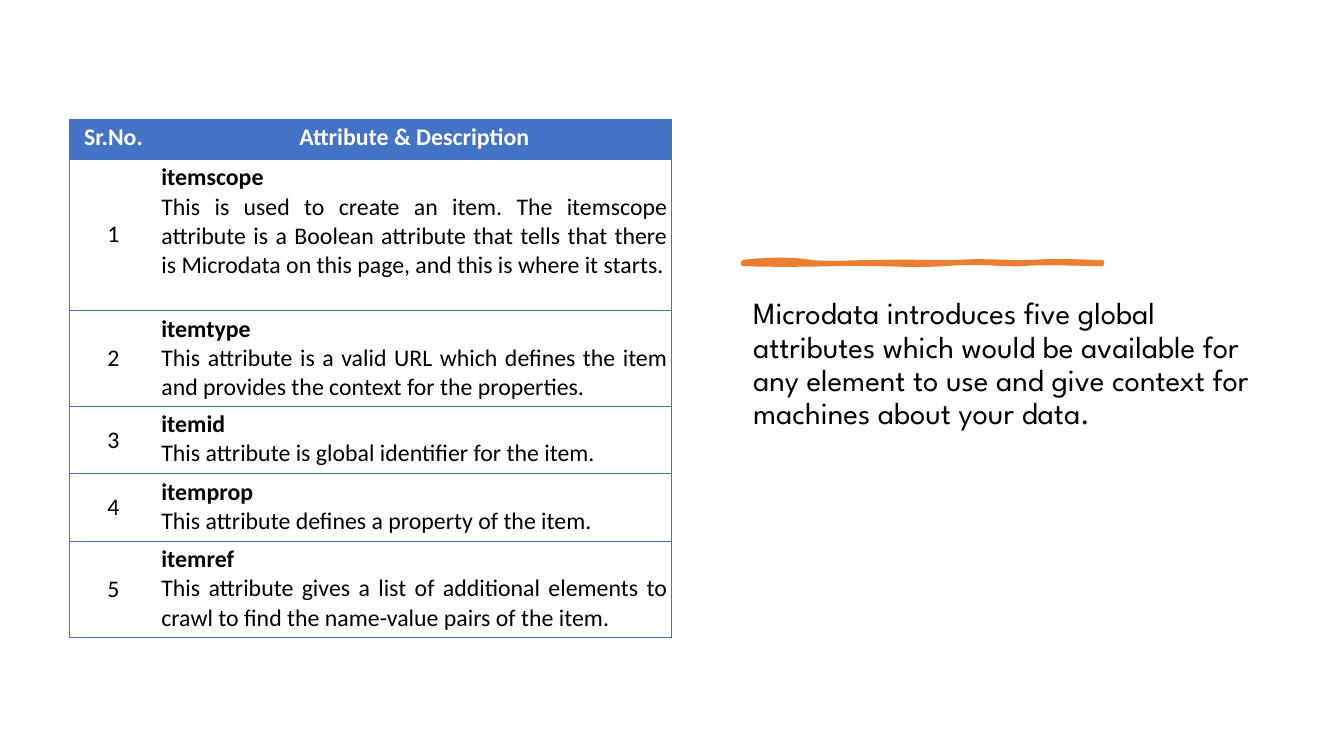
from lxml import etree
from pptx import Presentation
from pptx import util as u
from pptx.dml.color import RGBColor
from pptx.enum import text
from pptx.oxml import ns

WIDTH, HEIGHT = u.Inches(13.33), u.Inches(7.5)
BLUE, ORANGE, BLACK, WHITE = "4472C4", "ED7D31", "000000", "FFFFFF"
CENTER, JUSTIFY = text.PP_ALIGN.CENTER, text.PP_ALIGN.JUSTIFY

COLUMNS = [6.53, 38.26]
ROWS = [5.33, 20, 12.67, 8.93, 8.93, 12.67]
HEADINGS = ["Sr.No.", "Attribute & Description"]
ATTRIBUTES = [
    ("itemscope", "This is used to create an item. The itemscope attribute is a Boolean "
     "attribute that tells that there is Microdata on this page, and this is where it starts."),
    ("itemtype", "This attribute is a valid URL which defines the item and provides "
     "the context for the properties."),
    ("itemid", "This attribute is global identifier for the item."),
    ("itemprop", "This attribute defines a property of the item."),
    ("itemref", "This attribute gives a list of additional elements to crawl to find "
     "the name-value pairs of the item."),
]
INTRODUCTION = ("Microdata introduces five global attributes which would be available for "
                "any element to use and give context for machines about your data.")

UPPER_EDGE = [(0, 0), (.07, -.4), (.14, -.4), (.19, 0), (.24, .27), (.3, 0), (.39, 0),
              (.48, -.13), (.53, .13), (.6, 0), (.67, -.27), (.75, .13), (.81, 0),
              (.87, -.27), (.96, 0), (1, 0)]
LOWER_EDGE = [(1, .27), (.95, .27), (.83, 0), (.78, .27), (.73, .4), (.66, -.13),
              (.56, .27), (.46, .53), (.45, .27), (.36, .27), (.27, .13), (.17, .53),
              (0, .27)]


def across(percent):
    return round(WIDTH * percent / 100)


def down(percent):
    return round(HEIGHT * percent / 100)


def color(value):
    return RGBColor.from_string(value)


def add_span(para, words, size, font, shade, bold=False):
    span = para.add_run()
    span.text = words
    span.font.size, span.font.name, span.font.bold = u.Pt(size), font, bold
    span.font.color.rgb = color(shade)


def smooth_points(controls, steps=10):
    points = [controls[0]]
    for first in range(0, len(controls) - 1, 3):
        a, b, c, d = controls[first:first + 4]
        for step in range(1, steps + 1):
            t = step / steps
            weights = ((1 - t) ** 3, 3 * t * (1 - t) ** 2, 3 * t * t * (1 - t), t ** 3)
            points.append(tuple(sum(w * p[axis] for w, p in zip(weights, (a, b, c, d)))
                                for axis in (0, 1)))
    return points


def add_brush_stroke(page, left, top, width):
    outline = smooth_points(UPPER_EDGE) + smooth_points(LOWER_EDGE)
    points = [(across(left + x * width), down(top + y)) for x, y in outline]
    builder = page.shapes.build_freeform(*points[0])
    builder.add_line_segments(points[1:], close=True)
    stroke = builder.convert_to_shape()
    stroke.shadow.inherit = False
    stroke.fill.solid()
    stroke.fill.fore_color.rgb = color(ORANGE)
    stroke.line.color.rgb = color(ORANGE)
    stroke.line.width = u.Pt(3)


def fill_body(box, left, top, width, height, words):
    box.left, box.top = across(left), down(top)
    box.width, box.height = across(width), down(height)
    frame = box.text_frame
    frame.word_wrap = True
    frame.auto_size = text.MSO_AUTO_SIZE.NONE
    frame.vertical_anchor = text.MSO_ANCHOR.TOP
    para = frame.paragraphs[0]
    para.alignment = text.PP_ALIGN.LEFT
    para.line_spacing, para.space_before = 0.9, u.Pt(10)
    add_span(para, words, 22, "League Spartan", BLACK)


def set_borders(cell, hidden_side):
    properties = cell._tc.get_or_add_tcPr()
    for side in ("lnL", "lnR", "lnT", "lnB"):
        line = etree.SubElement(properties, ns.qn("a:" + side), w=str(u.Pt(0.5)))
        if side == hidden_side:
            etree.SubElement(line, ns.qn("a:noFill"))
        else:
            paint = etree.SubElement(line, ns.qn("a:solidFill"))
            etree.SubElement(paint, ns.qn("a:srgbClr"), val=BLUE)


def fill_cell(cell, lines, alignment, anchor, shade, background, hidden_side):
    set_borders(cell, hidden_side)
    if background:
        cell.fill.solid()
        cell.fill.fore_color.rgb = color(background)
    else:
        cell.fill.background()
    cell.margin_left = cell.margin_right = u.Inches(0.04)
    cell.margin_top = cell.margin_bottom = u.Inches(0.04)
    cell.vertical_anchor = anchor
    frame = cell.text_frame
    for index, (words, bold) in enumerate(lines):
        para = frame.add_paragraph() if index else frame.paragraphs[0]
        para.alignment = alignment
        add_span(para, words, 17, "Calibri", shade, bold)


def add_attribute_table(page, left, top):
    table = page.shapes.add_table(len(ROWS), len(COLUMNS), across(left), down(top),
                                  across(sum(COLUMNS)), down(sum(ROWS))).table
    table.first_row = table.horz_banding = False
    for column, share in zip(table.columns, COLUMNS):
        column.width = across(share)
    for row, share in zip(table.rows, ROWS):
        row.height = down(share)
    top_anchor, middle = text.MSO_ANCHOR.TOP, text.MSO_ANCHOR.MIDDLE
    inner_sides = ("lnR", "lnL")
    for index, heading in enumerate(HEADINGS):
        fill_cell(table.cell(0, index), [(heading, True)], CENTER, top_anchor,
                  WHITE, BLUE, inner_sides[index])
    for number, (name, description) in enumerate(ATTRIBUTES, 1):
        fill_cell(table.cell(number, 0), [(str(number), False)], CENTER, middle,
                  BLACK, None, inner_sides[0])
        fill_cell(table.cell(number, 1), [(name, True), (description, False)], JUSTIFY,
                  top_anchor, BLACK, None, inner_sides[1])


def main():
    deck = Presentation()
    deck.slide_width, deck.slide_height = WIDTH, HEIGHT
    page = deck.slides.add_slide(deck.slide_layouts.get_by_name("Section Header"))
    title = page.shapes.title
    title.element.getparent().remove(title.element)
    add_brush_stroke(page, 55.29, 34.67, 26.7)
    fill_body(page.placeholders[1], 55.29, 38.8, 39.53, 26.27, INTRODUCTION)
    add_attribute_table(page, 5.18, 15.73)
    deck.save("out.pptx")


if __name__ == "__main__":
    main()
